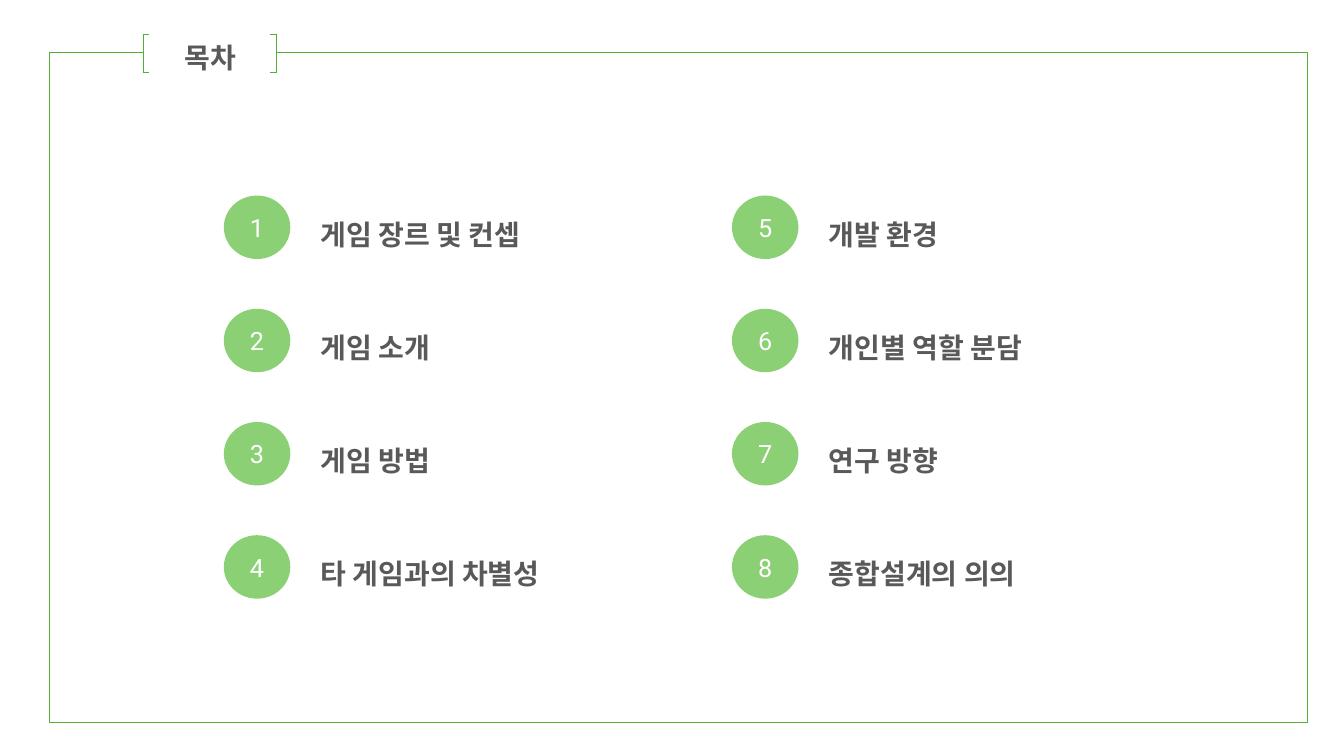
"""Build a contents slide with a framed title and eight numbered topics."""
from dataclasses import dataclass

from lxml.etree import SubElement
from pptx import Presentation
from pptx.dml.color import RGBColor as Rgb
from pptx.enum.shapes import MSO_SHAPE as Kind
from pptx.enum.text import MSO_ANCHOR as Anchor, MSO_AUTO_SIZE as Auto, PP_ALIGN as Align
from pptx.oxml.ns import qn
from pptx.shapes.autoshape import Shape
from pptx.slide import Slide
from pptx.table import _Cell as Cell
from pptx.text.text import TextFrame as Frame
from pptx.util import Inches, Pt


@dataclass(frozen=True)
class Theme:
    line: str = "54B034"
    dot: str = "8CD076"
    ink: str = "595959"
    white: str = "FFFFFF"
    face: str = "Roboto"
    head: int = 20
    digit: int = 18
    rule: float = 0.75


@dataclass(frozen=True)
class Topic:
    text: str
    width: float = 2.22


THEME = Theme()
COLUMNS = {
    2.22: [Topic("게임 장르 및 컨셉"), Topic("게임 소개"),
           Topic("게임 방법"), Topic("타 게임과의 차별성", 2.42)],
    7.26: [Topic("개발 환경", 3.69), Topic("개인별 역할 분담", 3.44),
           Topic("연구 방향"), Topic("종합설계의 의의")],
}
TOP, LAST = 1.94, 5.31
INDENT = 0.86


def assign(target: object, values: dict) -> None:
    for name, value in values.items():
        setattr(target, name, value)


def write(frame: Frame, text: str, size: int, color: str, bold: bool, align: Align) -> None:
    para = frame.paragraphs[0]
    para.alignment = align
    run = para.add_run()
    run.text = text
    assign(run.font, {"name": THEME.face, "size": Pt(size), "bold": bold})
    run.font.color.rgb = Rgb.from_string(color)


def label(slide: Slide, text: str, left: float, top: float, width: float,
          align: Align = Align.LEFT) -> None:
    box = slide.shapes.add_textbox(Inches(left), Inches(top), Inches(width), Inches(0.54))
    frame = box.text_frame
    assign(frame, {"word_wrap": True, "auto_size": Auto.SHAPE_TO_FIT_TEXT})
    write(frame, text, THEME.head, THEME.ink, True, align)
    frame.paragraphs[0].line_spacing = 1.5


def shape(slide: Slide, kind: Kind, left: float, top: float, width: float, height: float) -> Shape:
    item = slide.shapes.add_shape(kind, Inches(left), Inches(top), Inches(width), Inches(height))
    item.shadow.inherit = False
    return item


def border(slide: Slide) -> None:
    box = shape(slide, Kind.RECTANGLE, 0.49, 0.52, 12.48, 6.65)
    box.fill.background()
    box.line.color.rgb = Rgb.from_string(THEME.line)
    box.line.width = Pt(THEME.rule)


def edge(cell: Cell, sides: str) -> None:
    props = cell._tc.get_or_add_tcPr()
    for side in "LRTB":
        line = SubElement(props, qn(f"a:ln{side}"), w=str(Pt(THEME.rule)))
        if side in sides:
            fill = SubElement(line, qn("a:solidFill"))
            SubElement(fill, qn("a:srgbClr"), val=THEME.line)
        else:
            SubElement(line, qn("a:noFill"))


def bracket(slide: Slide) -> None:
    table = slide.shapes.add_table(
        1, 3, Inches(1.42), Inches(0.34), Inches(1.32), Inches(0.38)).table
    assign(table, {"first_row": False, "horz_banding": False})
    for col, (width, sides) in enumerate([(0.06, "LTB"), (1.2, ""), (0.06, "RTB")]):
        table.columns[col].width = Inches(width)
        cell = table.cell(0, col)
        assign(cell, {f"margin_{side}": 0 for side in ("left", "right", "top", "bottom")})
        edge(cell, sides)
        cell.fill.solid()
        cell.fill.fore_color.rgb = Rgb.from_string(THEME.white)


def badge(slide: Slide, number: int, left: float, top: float) -> None:
    dot = shape(slide, Kind.OVAL, left, top, 0.66, 0.63)
    dot.fill.solid()
    dot.fill.fore_color.rgb = Rgb.from_string(THEME.dot)
    dot.line.fill.background()
    dot.text_frame.vertical_anchor = Anchor.MIDDLE
    write(dot.text_frame, str(number), THEME.digit, THEME.white, False, Align.CENTER)


def main() -> None:
    deck = Presentation()
    assign(deck, {"slide_width": Inches(13.33), "slide_height": Inches(7.5)})
    slide = deck.slides.add_slide(deck.slide_layouts[6])
    border(slide)
    bracket(slide)
    label(slide, "목차", 1.7, 0.19, 0.77, Align.CENTER)
    number = 0
    for left, topics in COLUMNS.items():
        step = (LAST - TOP) / (len(topics) - 1)
        for row, topic in enumerate(topics):
            number += 1
            top = TOP + row * step
            badge(slide, number, left, top)
            label(slide, topic.text, left + INDENT, top, topic.width)
    deck.save("out.pptx")


if __name__ == "__main__":
    main()
